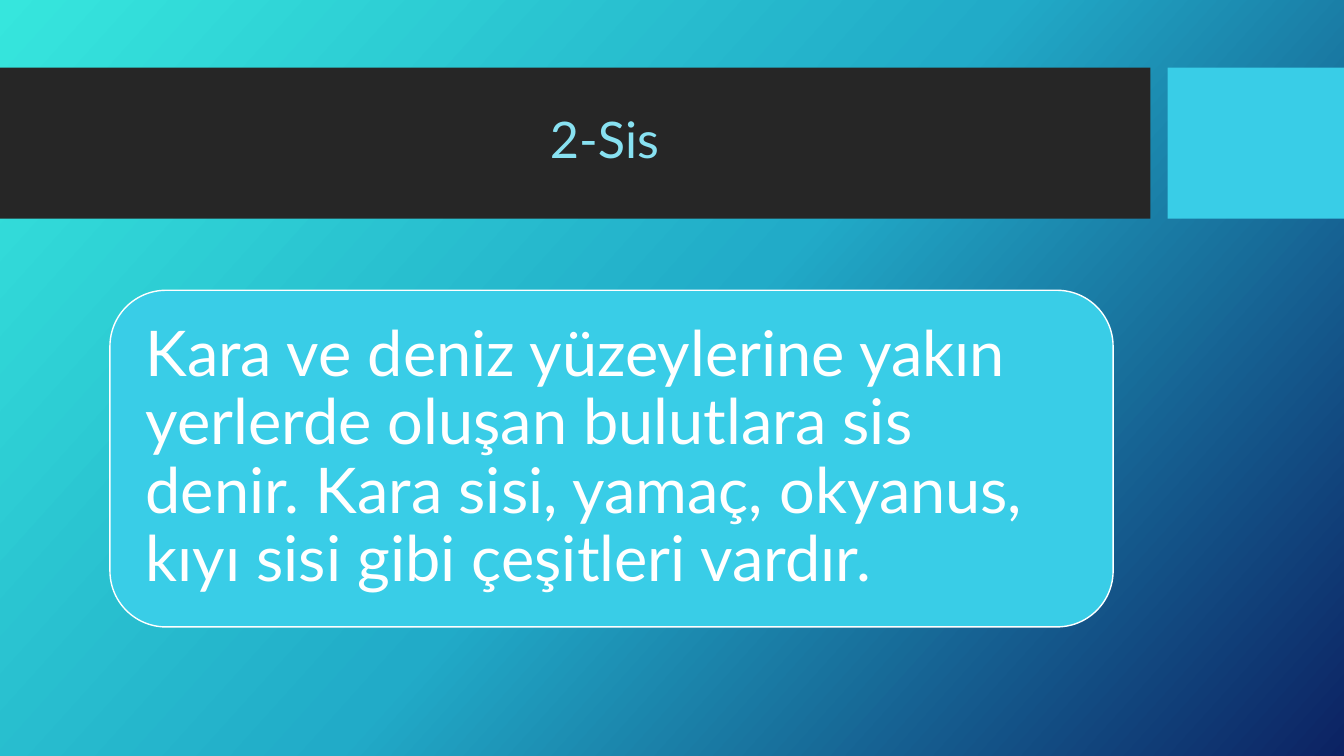
from copy import deepcopy

from pptx import Presentation
from pptx.dml.color import RGBColor
from pptx.enum import shapes, text
from pptx.oxml.ns import qn
from pptx.util import Inches, Pt

FONT = "Lato"
CHARCOAL = RGBColor(0x26, 0x26, 0x26)
CYAN = RGBColor(0x39, 0xCD, 0xE7)
PALE_CYAN = RGBColor(0x88, 0xE1, 0xF1)
WHITE = RGBColor(0xFF, 0xFF, 0xFF)
TURQUOISE = RGBColor(0x36, 0xE6, 0xDD)
OCEAN = RGBColor(0x21, 0xAB, 0xC8)
NAVY = RGBColor(0x0C, 0x22, 0x63)


def paint_background(page, colours, angle):
    """Fill the page with evenly spaced gradient colours; angle runs clockwise."""
    fill = page.background.fill
    fill.gradient()
    fill.gradient_angle = 360 - angle
    stop_list = next(page.element.iter(qn("a:gsLst")))
    while len(stop_list) < len(colours):
        stop_list.append(deepcopy(stop_list[0]))
    for index, (stop, colour) in enumerate(zip(fill.gradient_stops, colours)):
        stop.color.rgb = colour
        stop.position = index / (len(colours) - 1)


def place(shape, left, top, width, height):
    shape.left, shape.top = Inches(left), Inches(top)
    shape.width, shape.height = Inches(width), Inches(height)


def add_block(page, kind, bounds, colour):
    block = page.shapes.add_shape(kind, *map(Inches, bounds))
    block.shadow.inherit = False
    block.fill.solid()
    block.fill.fore_color.rgb = colour
    block.line.fill.background()
    return block


def write(shape, wording, size, colour, alignment):
    frame = shape.text_frame
    frame.text = wording
    frame.word_wrap = True
    frame.auto_size = text.MSO_AUTO_SIZE.NONE
    frame.vertical_anchor = text.MSO_ANCHOR.MIDDLE
    para = frame.paragraphs[0]
    para.alignment = alignment
    para.line_spacing = 0.9
    para.space_before = Pt(0)
    para.font.name = FONT
    para.font.size = Pt(size)
    para.font.color.rgb = colour


def add_title(page, wording):
    title = page.shapes.title
    place(title, 0.74, 0.82, 10.51, 1.18)
    write(title, wording, 36, PALE_CYAN, text.PP_ALIGN.CENTER)
    for left, width, colour in ((0, 11.41, CHARCOAL), (11.58, 1.75, CYAN)):
        band = add_block(page, shapes.MSO_SHAPE.RECTANGLE, (left, 0.67, width, 1.5), colour)
        title.element.addprevious(band.element)


def add_card(page, wording):
    card = add_block(page, shapes.MSO_SHAPE.ROUNDED_RECTANGLE, (1.09, 2.88, 9.95, 3.34), CYAN)
    card.line.color.rgb = WHITE
    card.line.width = Pt(1)
    write(card, wording, 45, WHITE, text.PP_ALIGN.LEFT)
    frame = card.text_frame
    frame.margin_left = frame.margin_right = Inches(0.19)
    frame.margin_top = frame.margin_bottom = Inches(0.19)


def main():
    deck = Presentation()
    deck.slide_width, deck.slide_height = Inches(13.33), Inches(7.5)
    page = deck.slides.add_slide(deck.slide_layouts.get_by_name("Title Only"))
    paint_background(page, (TURQUOISE, OCEAN, NAVY), 42)
    add_title(page, "2-Sis")
    add_card(page, "Kara ve deniz yüzeylerine yakın yerlerde oluşan bulutlara sis denir. "
                   "Kara sisi, yamaç, okyanus, kıyı sisi gibi çeşitleri vardır.")
    deck.save("out.pptx")


if __name__ == "__main__":
    main()
